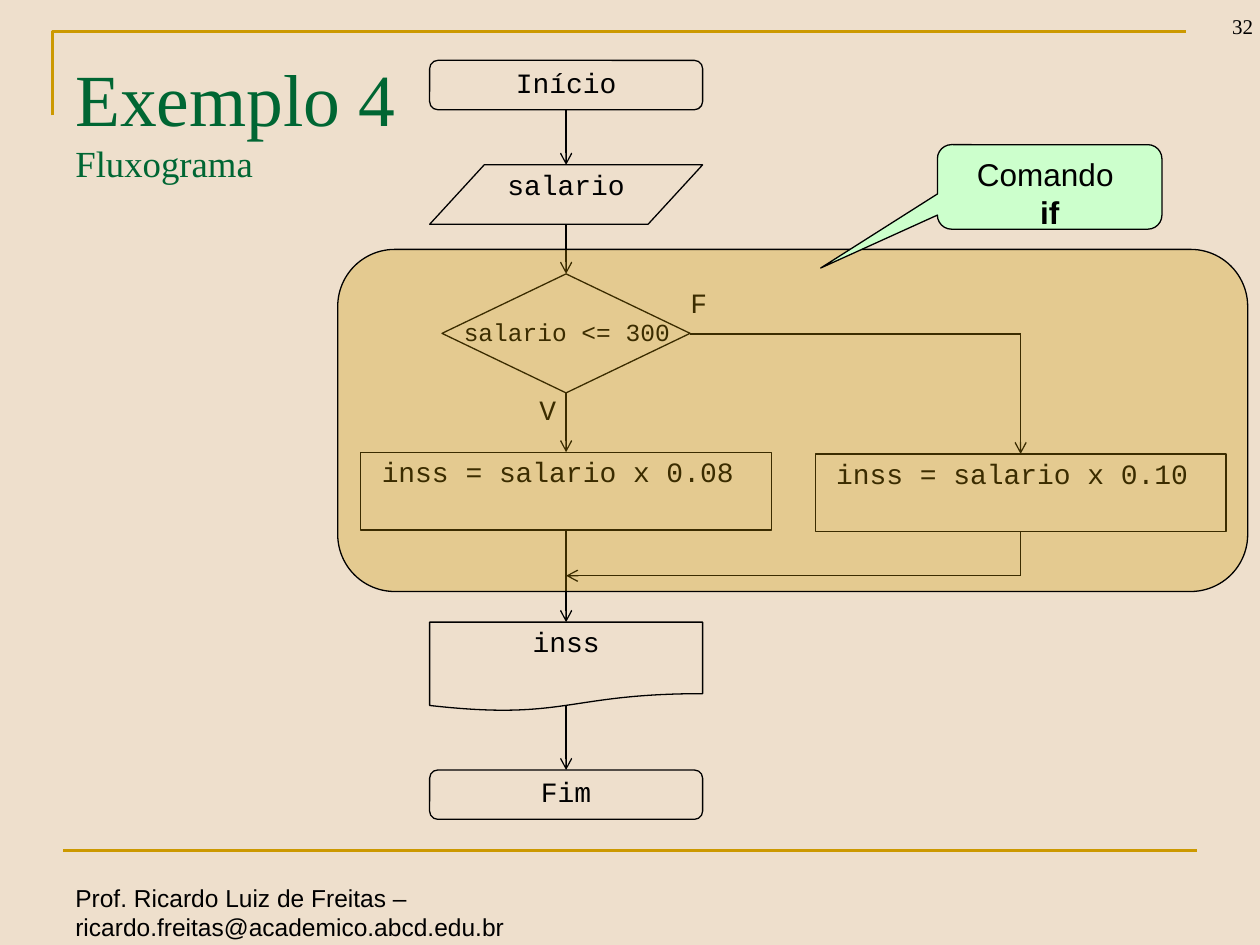
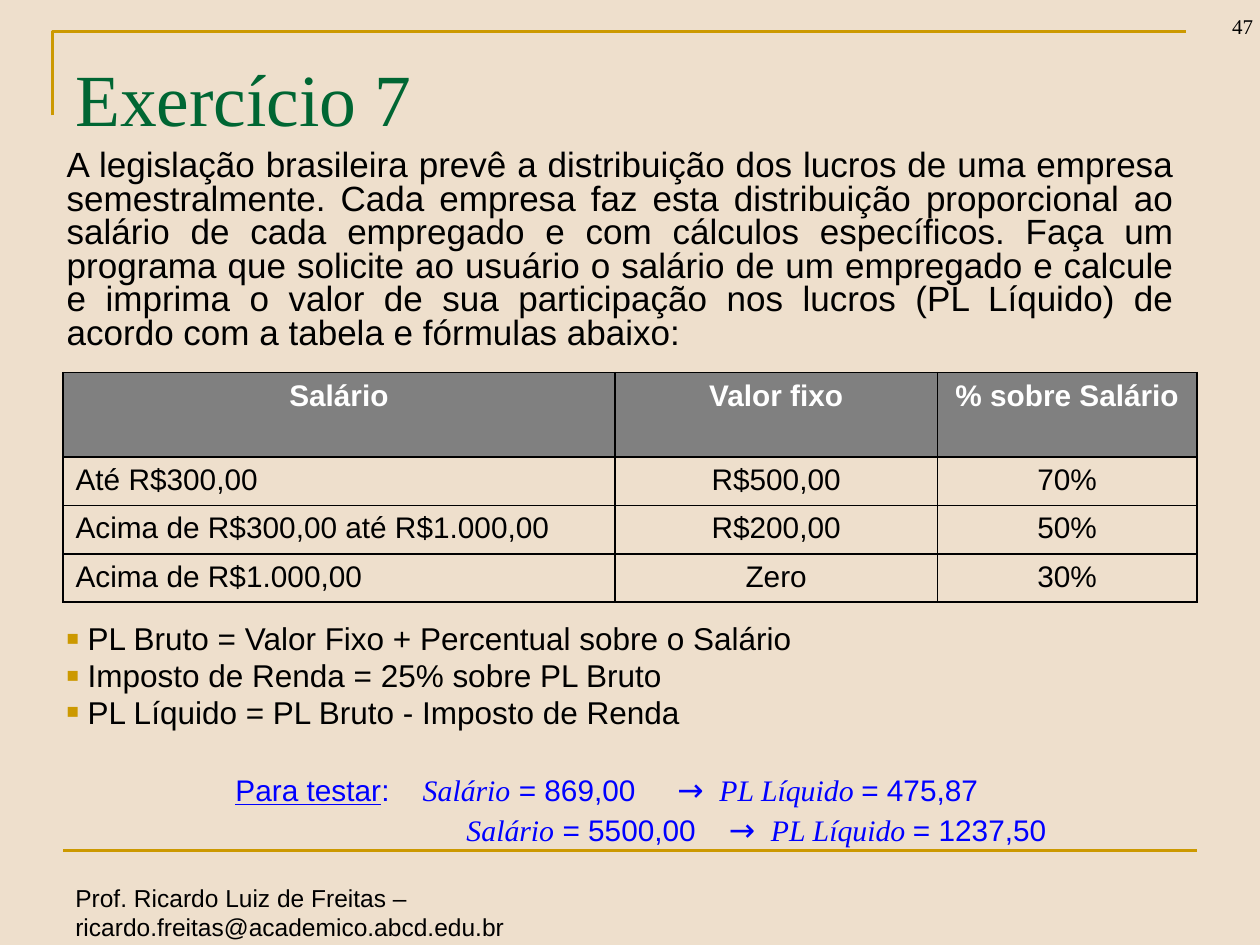
from lxml import etree
from pptx import Presentation
from pptx.dml.color import RGBColor
from pptx.enum import shapes, text
from pptx.oxml import ns
from pptx.util import Pt

KIND = shapes.MSO_SHAPE
MID, RIGHT, FULL = text.PP_ALIGN.CENTER, text.PP_ALIGN.RIGHT, text.PP_ALIGN.JUSTIFY
BACK, GOLD, GREEN, MINT = "EEDFCC", "CC9900", "006633", "CCFFCC"
BLACK, WHITE, GREY, BLUE = "000000", "FFFFFF", "808080", "0000FF"
SANS, SERIF, MONO = "Arial", "Times New Roman", "Courier New"

CODE = {"name": MONO, "size": Pt(16)}
CODE_PAR = {"line_spacing": 0.9, "space_before": Pt(3.2)}
CODE_MID = {**CODE_PAR, "alignment": MID}


def hue(code):
    return RGBColor.from_string(code)


def sub(node, tag, **attrs):
    return etree.SubElement(node, ns.qn(tag), attrs)


def apply(obj, form):
    for key, val in form.items():
        setattr(obj, key, val)


def put(par, words, font, form=None):
    """Append one run; font may hold a colour under "ink"."""
    run = par.add_run()
    run.text = words
    font = dict(font)
    run.font.color.rgb = hue(font.pop("ink", BLACK))
    apply(run.font, font)
    apply(par, form or {})


def add_par(frame, first):
    return frame.paragraphs[0] if first else frame.add_paragraph()


def add_text(slide, box, words, font, form=None, frame=None):
    shape = slide.shapes.add_textbox(*map(Pt, box))
    apply(shape.text_frame, {"word_wrap": True, **(frame or {})})
    if words:
        put(shape.text_frame.paragraphs[0], words, font, form)
    return shape.text_frame


def pen(shape, ink=BLACK, width=0.75):
    shape.line.color.rgb = hue(ink)
    shape.line.width = Pt(width)


def add_line(slide, start, end, ink=BLACK, width=0.75, arrow=False):
    kind = shapes.MSO_CONNECTOR.STRAIGHT
    line = slide.shapes.add_connector(kind, *map(Pt, (*start, *end)))
    pen(line, ink, width)
    if arrow:
        sub(line.line._get_or_add_ln(), "a:tailEnd", type="arrow")
    sub(line._element.spPr, "a:effectLst")


def add_node(slide, kind, box, words="", fill=None, alpha=None):
    node = slide.shapes.add_shape(kind, *map(Pt, box))
    node.shadow.inherit = False
    pen(node)
    if fill:
        node.fill.solid()
        node.fill.fore_color.rgb = hue(fill)
    else:
        node.fill.background()
    if alpha:
        tone = node._element.spPr.find(".//" + ns.qn("a:srgbClr"))
        sub(tone, "a:alpha", val=str(alpha * 1000))
    node.text_frame.vertical_anchor = text.MSO_ANCHOR.TOP
    if words:
        put(node.text_frame.paragraphs[0], words, CODE, CODE_MID)
    return node


def add_page(deck, number, title, second=None):
    """Add a slide with the shared bands, title, number and footer."""
    slide = deck.slides.add_slide(deck.slide_layouts[6])
    slide.background.fill.solid()
    slide.background.fill.fore_color.rgb = hue(BACK)

    path = slide.shapes.build_freeform(Pt(30), Pt(66))
    path.add_line_segments([(Pt(30), Pt(18)), (Pt(678), Pt(18))], close=False)
    band = path.convert_to_shape()
    band.fill.background()
    band.shadow.inherit = False
    pen(band, GOLD, 1.5)
    add_line(slide, (36, 486), (684, 486), GOLD, 1.5)

    add_text(slide, (36, 501, 288, 36),
             "Prof. Ricardo Luiz de Freitas – ricardo.freitas@academico.abcd.edu.br",
             {"name": SANS, "size": Pt(14)})
    head = {"name": SERIF, "size": Pt(42), "ink": GREEN}
    frame = add_text(slide, (36, 26.5, 648, 85), title, head)
    if second:
        put(frame.add_paragraph(), second, {**head, "size": Pt(21)})
    flat = {"margin_right": 0, "margin_bottom": 0,
            "vertical_anchor": text.MSO_ANCHOR.BOTTOM}
    add_text(slide, (662, 2, 54, 20.4), str(number),
             {"name": SERIF, "size": Pt(12)}, {"alignment": RIGHT}, flat)
    return slide


def add_flow(slide, box):
    """Draw the flowchart; the box is that of the "if" block."""
    left, top, wide, high = box
    mid, far = left + 130.5, left + 390.2
    test, calc, join = top + 56.3, top + 115.9, top + 186.5

    def node(kind, x, y, w, h, words=""):
        add_node(slide, kind, (x - w / 2, y, w, h), words)

    def step(*points, arrow=True):
        add_line(slide, *points, arrow=arrow)

    for kind, y, h, words in (
            (KIND.FLOWCHART_ALTERNATE_PROCESS, -108, 28.2, "Início"),
            (KIND.FLOWCHART_DATA, -48.3, 34, "salario"),
            (KIND.FLOWCHART_DOCUMENT, 213, 51, "inss"),
            (KIND.FLOWCHART_ALTERNATE_PROCESS, 297.5, 28.2, "Fim")):
        node(kind, mid, top + y, 156, h, words)
    node(KIND.FLOWCHART_DECISION, mid, top + 14, 141.8, 68)
    for x, rate in ((mid, "0.08"), (far, "0.10")):
        node(KIND.FLOWCHART_PROCESS, x, calc + (x == far), 234.7, 44.5,
             f"inss = salario x {rate} ")

    for start, end in ((-79.8, -48.3), (-14.3, 14), (82, 115.9),
                       (160.4, 213), (260.5, 297.5)):
        step((mid, top + start), (mid, top + end))
    step((mid + 70.9, test - 8), (far, test - 8), arrow=False)
    step((far, test - 8), (far, calc + 1))
    step((far, calc + 45.5), (far, join), arrow=False)
    step((far, join), (mid, join))

    for x, y, mark in ((64, 19.4, "F"), (-22.4, 80.6, "V")):
        add_text(slide, (mid + x, top + y, 25, 25), mark, CODE, CODE_PAR)
    add_text(slide, (mid - 92, top + 41, 185, 19), "salario <= 300",
             {**CODE, "size": Pt(14)},
             {"alignment": MID, "line_spacing": Pt(11)})
    add_node(slide, KIND.FLOWCHART_ALTERNATE_PROCESS, box, fill=GOLD, alpha=29)


def add_call(slide, box):
    call = add_node(slide, KIND.ROUNDED_RECTANGULAR_CALLOUT, box, fill=MINT)
    for i, val in enumerate((-1.02, 0.96, 0.167)):
        call.adjustments[i] = val
    for i, words in enumerate(("Comando ", "if")):
        put(add_par(call.text_frame, not i), words,
            {"name": SANS, "size": Pt(18), "bold": i == 1}, {"alignment": MID})


def edge(cell):
    props = cell._tc.get_or_add_tcPr()
    for side in "LRTB":
        line = sub(props, f"a:ln{side}", w=str(Pt(1)))
        sub(sub(line, "a:solidFill"), "a:srgbClr", val=BLACK)


def add_grid(slide, box, cols, highs, rows):
    grid = slide.shapes.add_table(len(rows), len(cols), *map(Pt, box)).table
    for col, wide in zip(grid.columns, cols):
        col.width = Pt(wide)
    for i, (high, row) in enumerate(zip(highs, rows)):
        grid.rows[i].height = Pt(high)
        for j, words in enumerate(row):
            cell = grid.cell(i, j)
            edge(cell)
            if i:
                cell.fill.background()
            else:
                cell.fill.solid()
                cell.fill.fore_color.rgb = hue(GREY)
            font = {"name": SANS, "size": Pt(17), "bold": i == 0,
                    "ink": BLACK if i else WHITE}
            put(cell.text_frame.paragraphs[0], words, font,
                {"alignment": None if i and not j else MID})


def add_list(slide, box, items):
    frame = add_text(slide, box, "", {})
    for i, words in enumerate(items):
        par = add_par(frame, not i)
        put(par, words, {"name": SANS, "size": Pt(18)}, {"line_spacing": Pt(21)})
        props = par._p.get_or_add_pPr()
        props.set("marL", str(Pt(12)))
        props.set("indent", str(Pt(-12)))
        sub(sub(props, "a:buClr"), "a:srgbClr", val=GOLD)
        sub(props, "a:buSzPct", val="65000")
        sub(props, "a:buFont", typeface=SANS)
        sub(props, "a:buChar", char="■")


def add_tests(slide, box, tests):
    """Write one test a line: pay, arrow and result at tab stops."""
    frame = add_text(slide, box, "", {})
    base = {"name": SANS, "size": Pt(17), "ink": BLUE}
    term = {**base, "name": SERIF, "italic": True}
    for i, (stop, pay, gap, share) in enumerate(tests):
        par = add_par(frame, not i)
        par.line_spacing = Pt(23)
        tabs = sub(par._p.get_or_add_pPr(), "a:tabLst")
        for pos in (stop, stop + gap, stop + gap + 24):
            sub(tabs, "a:tab", pos=str(Pt(pos)), algn="l")
        if not i:
            put(par, "Para testar", {**base, "underline": True})
            put(par, ":", base)
        for words, font in (
                ("\t", base), ("Salário", term), (f" = {pay}\t", base),
                ("→", {**base, "name": "Roboto", "size": Pt(18)}),
                ("\t", base), ("PL Líquido ", term), (f"= {share}", base)):
            put(par, words, font)


def main():
    deck = Presentation()
    deck.slide_width, deck.slide_height = Pt(720), Pt(540)

    flow = add_page(deck, 32, "Exemplo 4 ", "Fluxograma")
    add_flow(flow, (193, 142.5, 520, 195.5))
    add_call(flow, (535.7, 82.7, 128.3, 48.3))

    task = add_page(deck, 47, "Exercício 7")
    add_grid(task, (36, 213, 648, 131), (315.4, 184.3, 148.3),
             (48.2, 27.6, 27.6, 27.6), (
        ("Salário", "Valor fixo", "% sobre Salário"),
        ("Até R$300,00", "R$500,00", "70%"),
        ("Acima de R$300,00 até R$1.000,00", "R$200,00", "50%"),
        ("Acima de R$1.000,00", "Zero", "30%")))
    add_text(task, (31, 82.8, 647, 124),
             "A legislação brasileira prevê a distribuição dos lucros de uma "
             "empresa semestralmente. Cada empresa faz esta distribuição "
             "proporcional ao salário de cada empregado e com cálculos "
             "específicos. Faça um programa que solicite ao usuário o salário "
             "de um empregado e calcule e imprima o valor de sua participação "
             "nos lucros (PL Líquido) de acordo com a tabela e fórmulas abaixo:",
             {"name": SANS, "size": Pt(20)},
             {"alignment": FULL, "line_spacing": Pt(19.2)})
    add_list(task, (31, 351, 647, 72), (
        "PL Bruto = Valor Fixo + Percentual sobre o Salário",
        "Imposto de Renda = 25% sobre PL Bruto",
        "PL Líquido = PL Bruto - Imposto de Renda"))
    add_tests(task, (127.5, 435, 493, 53), (
        (107, "869,00", 145.5, "475,87"),
        (132, "5500,00", 150, "1237,50")))
    deck.save("out.pptx")


if __name__ == "__main__":
    main()
